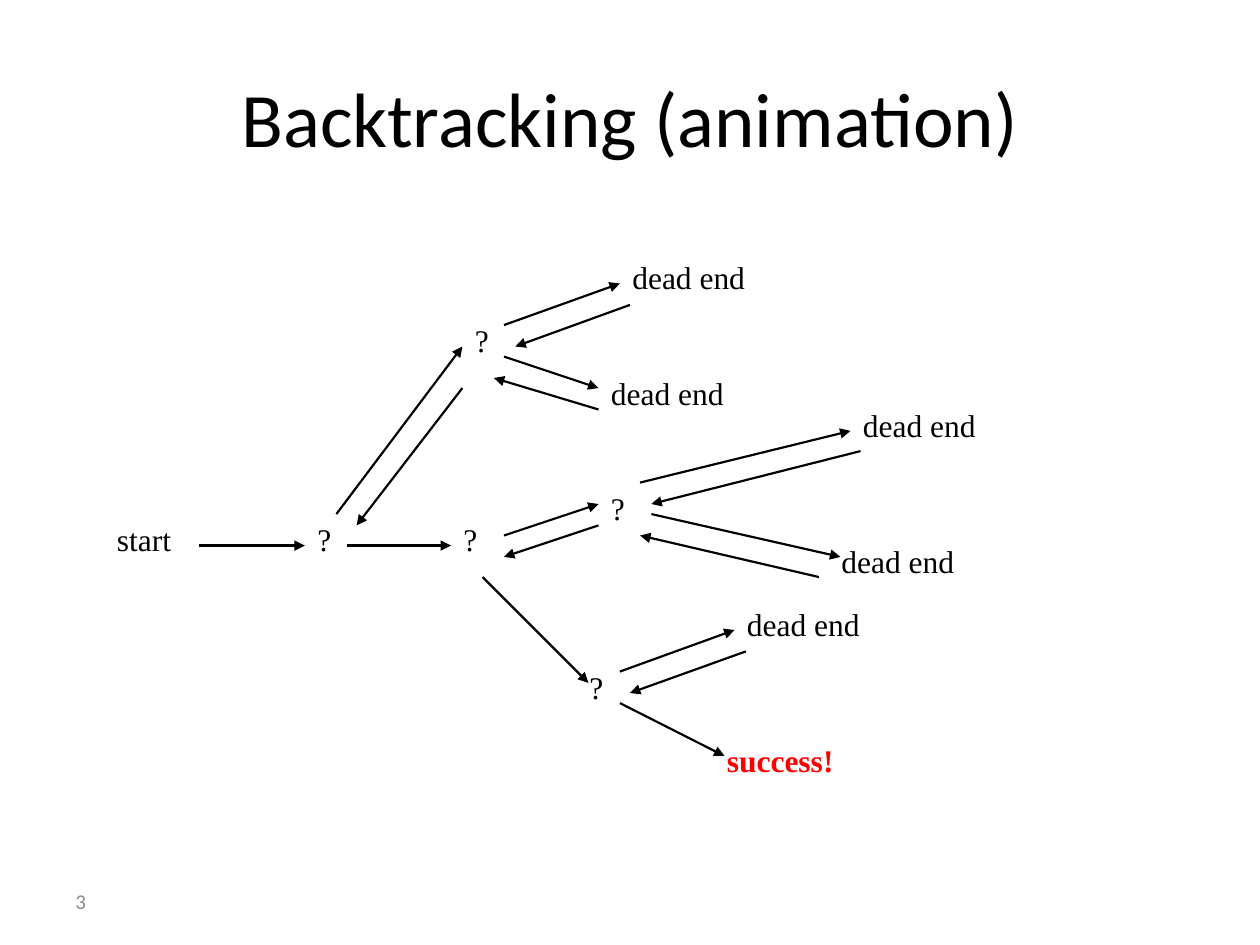
from dataclasses import dataclass

from lxml import etree
from pptx import Presentation
from pptx.dml.color import RGBColor
from pptx.enum import shapes, text
from pptx.oxml import ns
from pptx.util import Inches, Pt


@dataclass(frozen=True)
class Theme:
    heading: str = "Calibri"
    body: str = "Times New Roman"
    ink: str = "000000"
    muted: str = "8C8C8C"
    success: str = "FF0000"
    title_size: int = 44
    label_size: int = 18
    number_size: int = 12
    line_width: float = 1.25


TOP, LEFT, BOTTOM, RIGHT = 0, 1, 2, 3

NODES = {
    "start": ("start", 0.83, 4.08, 0.83),
    "first": ("?", 2.42, 4.08, 0.5),
    "upper": ("?", 3.67, 2.5, 0.42),
    "upper_end_1": ("dead end", 4.92, 2, 1.75),
    "upper_end_2": ("dead end", 4.75, 2.92, 1.75),
    "second": ("?", 3.58, 4.08, 0.5),
    "middle": ("?", 4.75, 3.83, 0.5),
    "middle_end_1": ("dead end", 6.75, 3.17, 1.75),
    "middle_end_2": ("dead end", 6.58, 4.25, 1.75),
    "lower": ("?", 4.58, 5.25, 0.5),
    "lower_end": ("dead end", 5.83, 4.75, 1.75),
}

ARROWS = [
    ((1.58, 4.33), ("first", LEFT)),
    (("first", TOP), ("upper", LEFT)),
    ((2.75, 4.33), ("second", LEFT)),
    ((4, 2.58), ("upper_end_1", LEFT)),
    ((5, 2.42), ("upper", RIGHT)),
    ((4, 2.83), (4.75, 3.08)),
    ((4.75, 3.25), (3.92, 3)),
    ((3.67, 3.08), (2.83, 4.17)),
    ((4, 4.25), (4.75, 4)),
    ((4.75, 4.17), (4, 4.42)),
    ((5.08, 3.83), ("middle_end_1", LEFT)),
    ((6.83, 3.58), (5.17, 4)),
    ((5.17, 4.08), (6.67, 4.42)),
    ((6.5, 4.58), (5.08, 4.25)),
    (("second", BOTTOM), (4.67, 5.42)),
    ((4.92, 5.33), ("lower_end", LEFT)),
    ((5.92, 5.17), (5, 5.5)),
    ((4.92, 5.58), (5.75, 6)),
]


class SlideBuilder:
    def __init__(self, slide, theme):
        self.slide = slide
        self.theme = theme
        self.nodes = {}

    def style(self, p, font, size, color, bold=False):
        p.font.name = font
        p.font.size = Pt(size)
        p.font.bold = bold
        p.font.color.rgb = RGBColor.from_string(color)

    def title(self, words):
        sp = self.slide.shapes.title
        sp.left, sp.top = Inches(0.5), Inches(0.3)
        sp.width, sp.height = Inches(9), Inches(1.25)
        tf = sp.text_frame
        tf.text = words
        tf.vertical_anchor = text.MSO_ANCHOR.MIDDLE
        p = tf.paragraphs[0]
        p.alignment = text.PP_ALIGN.CENTER
        self.style(p, self.theme.heading, self.theme.title_size, self.theme.ink)

    def text_box(self, words, x, y, w, h):
        sp = self.slide.shapes.add_textbox(Inches(x), Inches(y), Inches(w), Inches(h))
        sp.text_frame.word_wrap = True
        sp.text_frame.text = words
        return sp

    def label(self, words, x, y, w, color=None, bold=False):
        sp = self.text_box(words, x, y, w, 0.5)
        p = sp.text_frame.paragraphs[0]
        self.style(p, self.theme.body, self.theme.label_size, color or self.theme.ink, bold)
        return sp

    def node(self, name, *box):
        self.nodes[name] = self.label(*box)

    def page_number(self, words):
        tf = self.text_box(words, 0.5, 6.95, 2.33, 0.4).text_frame
        tf.vertical_anchor = text.MSO_ANCHOR.MIDDLE
        self.style(tf.paragraphs[0], self.theme.heading, self.theme.number_size, self.theme.muted)

    def point(self, end):
        return (0, 0) if end[0] in self.nodes else (Inches(end[0]), Inches(end[1]))

    def arrow(self, start, end):
        line = self.slide.shapes.add_connector(
            shapes.MSO_CONNECTOR.STRAIGHT, *self.point(start), *self.point(end))
        if start[0] in self.nodes:
            line.begin_connect(self.nodes[start[0]], start[1])
        if end[0] in self.nodes:
            line.end_connect(self.nodes[end[0]], end[1])
        line.line.width = Pt(self.theme.line_width)
        line.line.color.rgb = RGBColor.from_string(self.theme.ink)
        ln = line.line._get_or_add_ln()
        etree.SubElement(ln, ns.qn("a:tailEnd"), type="triangle", w="med", len="med")
        etree.SubElement(line._element.spPr, ns.qn("a:effectLst"))


def main():
    prs = Presentation()
    prs.slide_width, prs.slide_height = Inches(10), Inches(7.5)
    theme = Theme()
    s = SlideBuilder(prs.slides.add_slide(prs.slide_layouts[5]), theme)
    s.title("Backtracking (animation)")
    for name, box in NODES.items():
        s.node(name, *box)
    s.label("success!", 5.67, 5.83, 1.75, theme.success, True)
    for start, end in ARROWS:
        s.arrow(start, end)
    s.page_number("3")
    prs.save("out.pptx")


if __name__ == "__main__":
    main()
